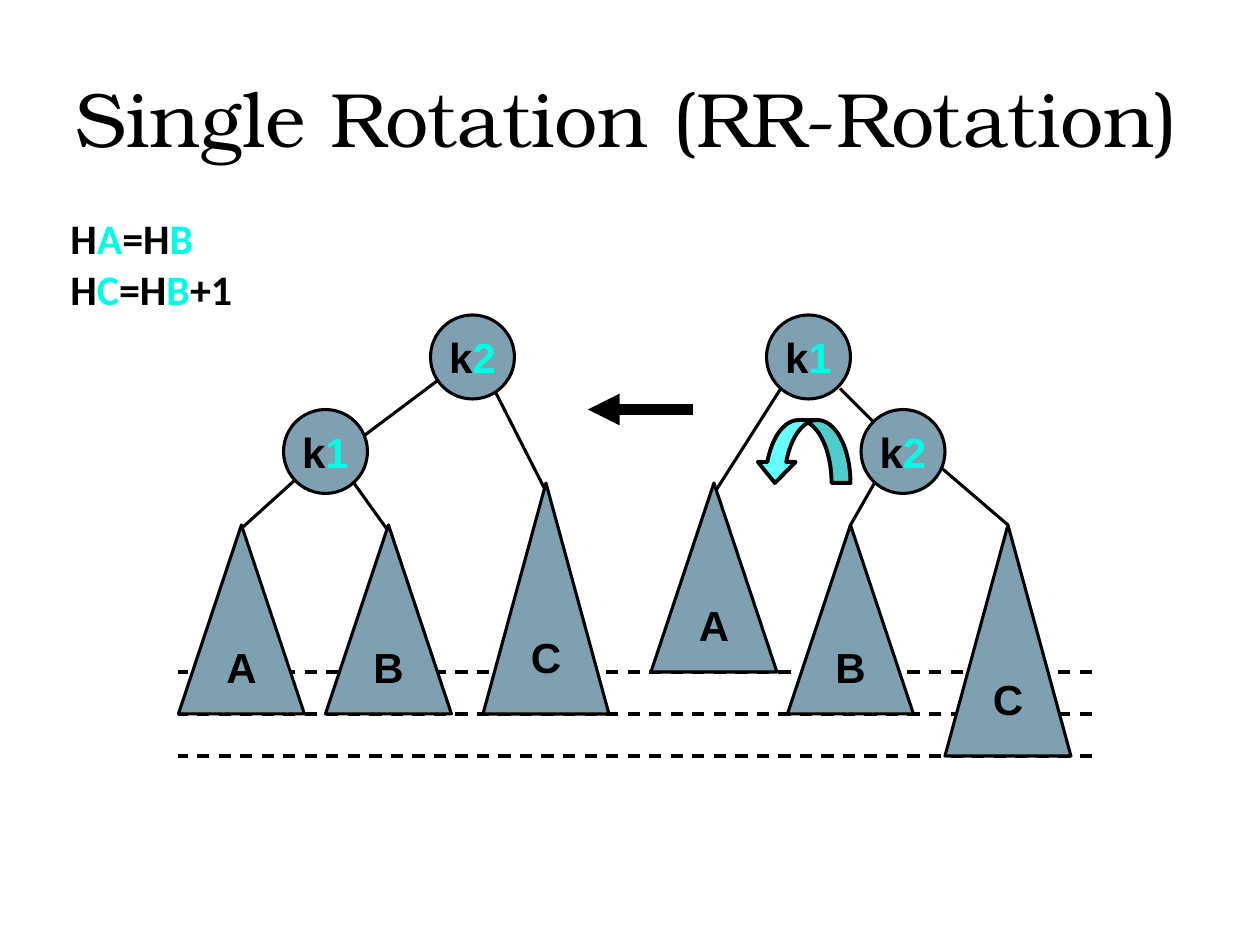
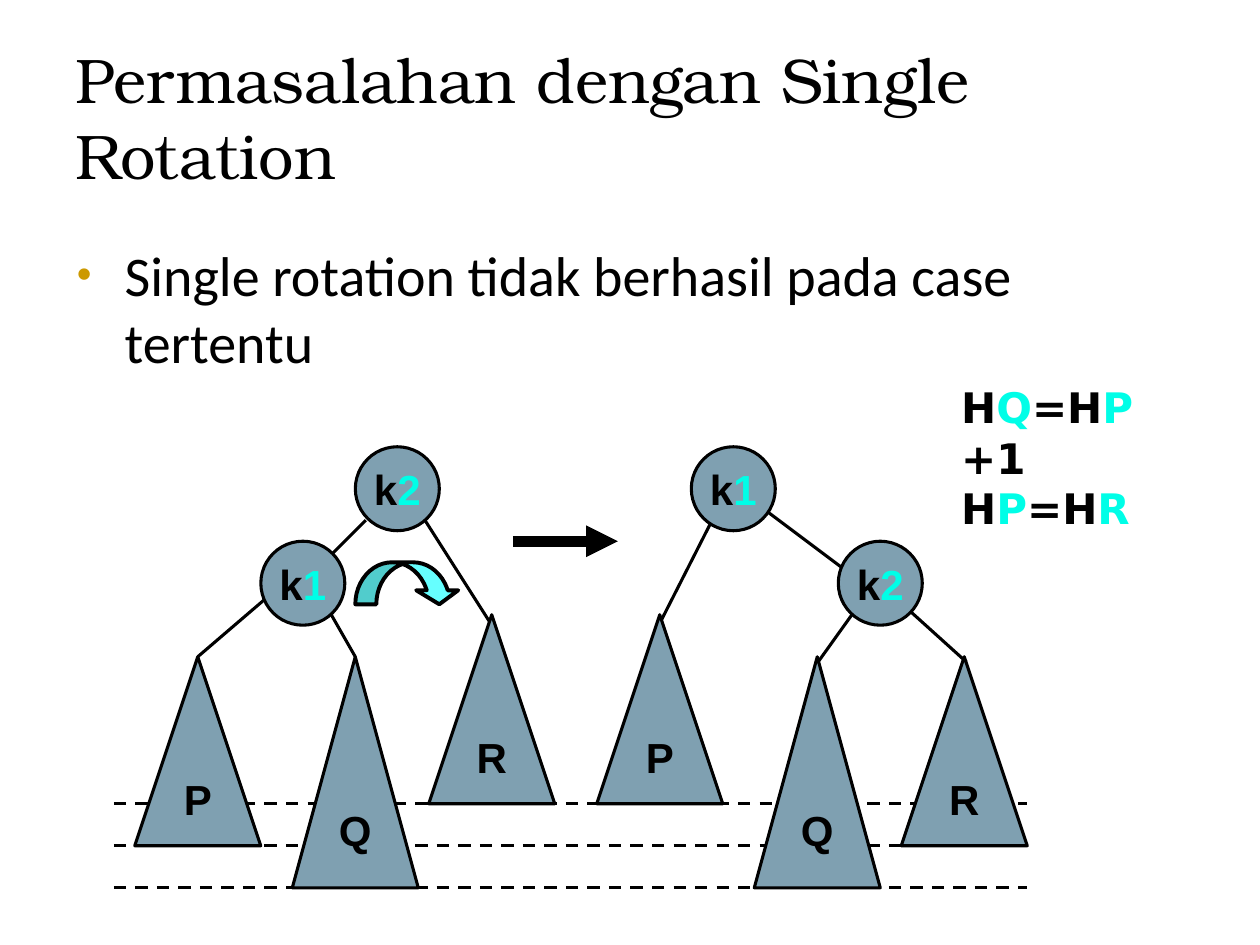
from dataclasses import dataclass

from lxml.etree import SubElement
from pptx import Presentation
from pptx.dml.color import RGBColor
from pptx.enum.dml import MSO_LINE_DASH_STYLE as Dash
from pptx.enum.shapes import MSO_CONNECTOR_TYPE as Connector
from pptx.enum.shapes import MSO_SHAPE as Preset
from pptx.enum.text import MSO_ANCHOR as Anchor
from pptx.enum.text import MSO_AUTO_SIZE as AutoSize
from pptx.enum.text import PP_ALIGN as Align
from pptx.oxml.ns import qn
from pptx.util import Inches, Pt

# Shared look
BLACK = RGBColor(0x00, 0x00, 0x00)
ACCENT = RGBColor(0x00, 0xFE, 0xE7)
NODE_FILL = RGBColor(0x7F, 0xA0, 0xB1)
TURN_FILL = RGBColor(0x66, 0xFF, 0xFF)
BULLET = RGBColor(0xCC, 0x99, 0x00)
TITLE_FONT, BODY_FONT, LABEL_FONT = "TeX Gyre Bonum", "Calibri", "Arial"
THIN, MEDIUM, THICK = 1.75, 2.25, 6

# Diagram grid: 120 columns by 90 rows of square cells
CELL = Inches(10) // 120
NODE_SIZE = 8
SUBTREE_WIDTH, SHORT, TALL = 12, 18, 22
LEVEL_ROWS = (72, 68, 64)
LEVEL_START, LEVEL_END = 104, 17


@dataclass(frozen=True)
class Node:
    column: float
    row: float
    rotated: bool  # True when the node belongs to the outer tree


@dataclass(frozen=True)
class Subtree:
    column: float
    row: float
    role: int  # 0 outer, 1 middle, 2 inner


@dataclass(frozen=True)
class Edge:
    start: tuple[float, float]
    end: tuple[float, float]


@dataclass(frozen=True)
class Diagram:
    subtree_names: str
    tall_name: str
    root_label: str
    child_label: str
    turn: tuple[float, float, float, float]
    mirrored: bool = False
    mirror_width: float = 114.84
    row_shift: float = 0

    def point(self, column: float, row: float) -> tuple[int, int]:
        if self.mirrored:
            column = self.mirror_width - column
        return round(column * CELL), round((row + self.row_shift) * CELL)

    def box(self, column: float, row: float, width: float, height: float) -> tuple[int, ...]:
        left, top = self.point(column + width if self.mirrored else column, row)
        return left, top, round(width * CELL), round(height * CELL)


ROOTS = (Node(73, 30, False), Node(41, 30, True))
CHILDREN = (Node(82, 39, False), Node(27, 39, True))
SUBTREES = (
    Subtree(90, 50, 2), Subtree(75, 50, 1), Subtree(62, 46, 0),
    Subtree(17, 50, 0), Subtree(31, 50, 1), Subtree(46, 46, 2),
)
EDGES = (
    Edge((75, 36), (68, 47)), Edge((85, 43), (81, 50)),
    Edge((96, 50), (89, 44)), Edge((80, 37), (85, 42)),
    Edge((30, 44), (22.8, 50.5)), Edge((42, 36), (34, 42)),
    Edge((52, 46.8), (46, 35)), Edge((31.7, 43.2), (37, 50.6)),
)
STEP_ARROW = Edge((66, 39), (56, 39))


def write_text(paragraph, text: str, *, size: float, font: str,
               bold: bool = False, align: Align = Align.LEFT) -> None:
    """Write text whose parts alternate between black and accent at each bar."""
    paragraph.alignment = align
    for index, part in enumerate(text.split("|")):
        run = paragraph.add_run()
        run.text = part
        run.font.size, run.font.name, run.font.bold = Pt(size), font, bold
        run.font.color.rgb = ACCENT if index % 2 else BLACK


def place(shape, left: float, top: float, width: float, height: float) -> None:
    shape.left, shape.top = Inches(left), Inches(top)
    shape.width, shape.height = Inches(width), Inches(height)


def add_title(slide, text: str, size: float) -> None:
    title = slide.shapes.title
    place(title, 0.5, 0.3, 9, 1.25)
    title.text_frame.auto_size = AutoSize.NONE
    title.text_frame.vertical_anchor = Anchor.MIDDLE
    write_text(title.text_frame.paragraphs[0], text, size=size, font=TITLE_FONT)


def add_bullet(slide, text: str) -> None:
    body = slide.placeholders[1]
    place(body, 0.51, 1.86, 9, 4.95)
    body.text_frame.auto_size = AutoSize.NONE
    paragraph = body.text_frame.paragraphs[0]
    paragraph.space_before = Pt(8)
    write_text(paragraph, text, size=32, font=BODY_FONT)
    properties = paragraph._p.get_or_add_pPr()
    properties.set("marL", str(Inches(0.38)))
    properties.set("indent", str(-Inches(0.38)))
    colour = SubElement(properties, qn("a:buClr"))
    SubElement(colour, qn("a:srgbClr"), val=str(BULLET))
    SubElement(properties, qn("a:buSzPct"), val="75000")
    SubElement(properties, qn("a:buChar"), char="•")


def add_formulas(slide, lines: tuple[str, ...], left: float, top: float,
                 width: float, font: str) -> None:
    box = slide.shapes.add_textbox(Inches(left), Inches(top), Inches(width), Inches(1.3))
    frame = box.text_frame
    frame.word_wrap = True
    for index, line in enumerate(lines):
        paragraph = frame.add_paragraph() if index else frame.paragraphs[0]
        write_text(paragraph, line, size=24, font=font, bold=True)


def add_line(slide, start: tuple[int, int], end: tuple[int, int], *,
             width: float = THIN, dashed: bool = False, arrow: bool = False) -> None:
    connector = slide.shapes.add_connector(Connector.STRAIGHT, *start, *end)
    connector.line.color.rgb = BLACK
    connector.line.width = Pt(width)
    if dashed:
        connector.line.dash_style = Dash.DASH
    properties = connector.element.spPr
    if arrow:
        SubElement(properties.find(qn("a:ln")), qn("a:tailEnd"), type="triangle")
    SubElement(properties, qn("a:effectLst"))


def add_figure(slide, preset: Preset, box: tuple[int, ...], *, label: str = "",
               fill: RGBColor = NODE_FILL, width: float = THIN):
    shape = slide.shapes.add_shape(preset, *box)
    shape.shadow.inherit = False
    shape.fill.solid()
    shape.fill.fore_color.rgb = fill
    shape.line.color.rgb = BLACK
    shape.line.width = Pt(width)
    if label:
        frame = shape.text_frame
        frame.word_wrap = False
        frame.vertical_anchor = Anchor.MIDDLE
        write_text(frame.paragraphs[0], label, size=24, font=LABEL_FONT,
                   bold=True, align=Align.CENTER)
    return shape


def add_turn(slide, diagram: Diagram) -> None:
    """Curved arrow: stem a fifth, head two fifths of the width."""
    _, _, width, height = diagram.turn
    turn = add_figure(slide, Preset.CURVED_DOWN_ARROW, diagram.box(*diagram.turn),
                      fill=TURN_FILL, width=MEDIUM)
    short_side = min(width, height)
    turn.adjustments[0] = 0.2 * width / short_side
    turn.adjustments[1] = 0.4 * width / short_side
    turn.adjustments[2] = height / 3 / short_side
    if not diagram.mirrored:
        turn.element.spPr.find(qn("a:xfrm")).set("flipH", "1")


def draw_diagram(slide, diagram: Diagram) -> None:
    # Height levels and tree edges lie behind the nodes
    for row in LEVEL_ROWS:
        add_line(slide, diagram.point(LEVEL_START, row),
                 diagram.point(LEVEL_END, row), dashed=True)
    for edge in EDGES:
        add_line(slide, diagram.point(*edge.start), diagram.point(*edge.end))

    # Subtrees
    for subtree in SUBTREES:
        name = diagram.subtree_names[subtree.role]
        height = TALL if name == diagram.tall_name else SHORT
        box = diagram.box(subtree.column, subtree.row, SUBTREE_WIDTH, height)
        add_figure(slide, Preset.ISOSCELES_TRIANGLE, box, label=name)

    # Nodes swap labels when the tree is rotated
    labels = (diagram.root_label, diagram.child_label)
    for level, nodes in enumerate((ROOTS, CHILDREN)):
        for node in nodes:
            box = diagram.box(node.column, node.row, NODE_SIZE, NODE_SIZE)
            add_figure(slide, Preset.OVAL, box, label=labels[level ^ node.rotated])

    # Rotation arrows
    add_line(slide, diagram.point(*STEP_ARROW.start), diagram.point(*STEP_ARROW.end),
             width=THICK, arrow=True)
    add_turn(slide, diagram)


def main() -> None:
    presentation = Presentation()
    presentation.slide_width, presentation.slide_height = Inches(10), Inches(7.5)
    layouts = presentation.slide_layouts

    # Slide 1: RR rotation
    slide = presentation.slides.add_slide(layouts.get_by_name("Title Only"))
    add_title(slide, "Single Rotation (RR-Rotation)", 44)
    draw_diagram(slide, Diagram("ABC", "C", "k|1", "k|2", turn=(72, 40, 9, 6)))
    add_formulas(slide, ("H|A|=H|B", "H|C|=H|B|+1"), 0.46, 1.64, 2.25, BODY_FONT)

    # Slide 2: a case that single rotation does not solve
    slide = presentation.slides.add_slide(layouts.get_by_name("Title and Content"))
    add_title(slide, "Permasalahan dengan Single Rotation", 36)
    add_bullet(slide, "Single rotation tidak berhasil pada case tertentu")
    draw_diagram(slide, Diagram("RQP", "Q", "k|2", "k|1", turn=(71, 41, 10, 4),
                                mirrored=True, row_shift=12.55))
    add_formulas(slide, ("H|Q|=H|P|+1", "H|P|=H|R"), 7.53, 2.98, 1.75, "DejaVu Sans")

    presentation.save("out.pptx")


if __name__ == "__main__":
    main()
